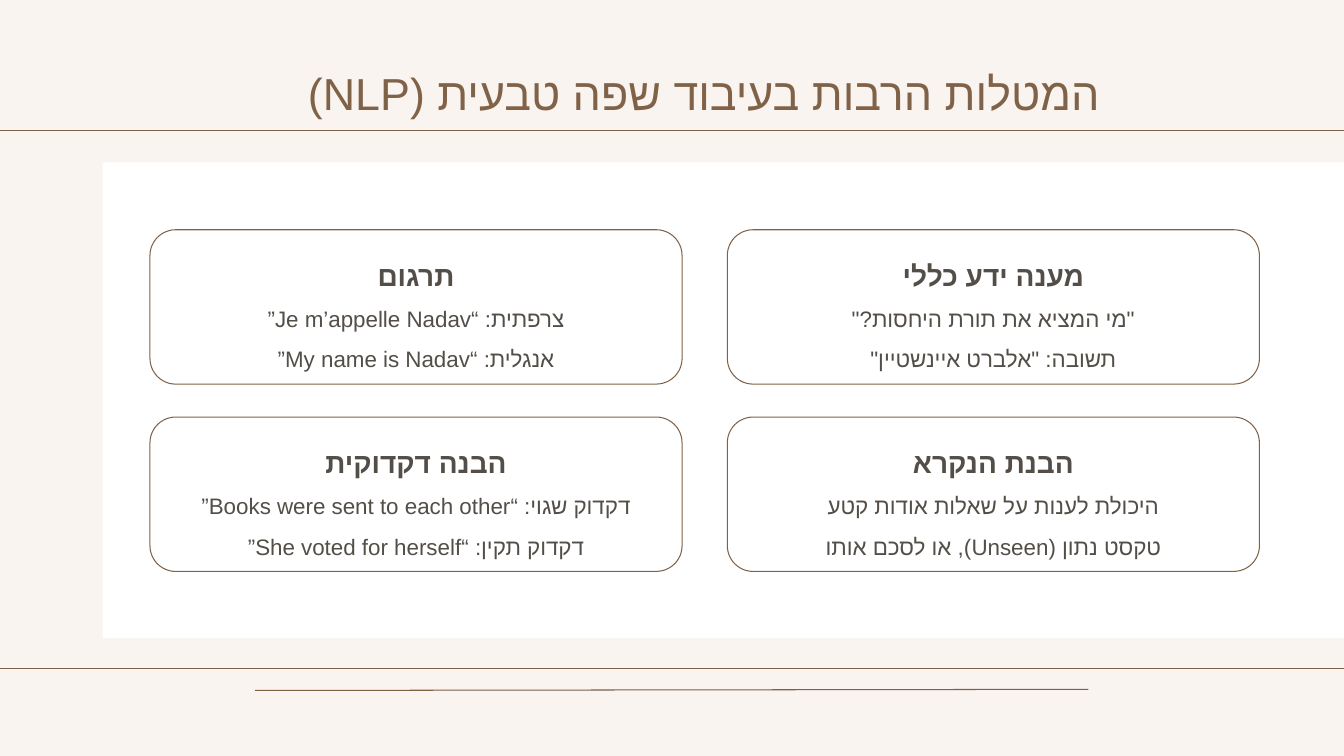
from lxml import etree
from pptx import Presentation
from pptx.dml.color import RGBColor
from pptx.enum import shapes, text
from pptx.oxml.ns import qn
from pptx.util import Cm, Pt

# Content: each row of cards from left to right
TITLE = "המטלות הרבות בעיבוד שפה טבעית (NLP)"
CARDS = [
    [
        ("תרגום", "צרפתית: “Je m’appelle Nadav”", "אנגלית: “My name is Nadav”"),
        ("מענה ידע כללי", '"מי המציא את תורת היחסות?"', 'תשובה: "אלברט איינשטיין"'),
    ],
    [
        ("הבנה דקדוקית", "דקדוק שגוי: “Books were sent to each other”",
         "דקדוק תקין: “She voted for herself”"),
        ("הבנת הנקרא", "היכולת לענות על שאלות אודות קטע",
         "טקסט נתון (Unseen), או לסכם אותו"),
    ],
]


class Theme:
    font = "Arial"
    background = RGBColor.from_string("F9F4F0")
    panel = RGBColor.from_string("FFFFFF")
    accent = RGBColor.from_string("806248")
    footer = RGBColor.from_string("7F6045")
    body = RGBColor.from_string("534E47")
    title_size, heading_size, body_size = Pt(32), Pt(20), Pt(16)
    line_width = Pt(0.75)


# Layout in centimetres
WIDTH, HEIGHT = 33.87, 19.05
PANEL_LEFT, PANEL_TOP, PANEL_HEIGHT = 2.59, 4.09, 11.99
RULES = [
    (0, 3.28, WIDTH, 3.28, Theme.accent),
    (0, 16.84, WIDTH, 16.84, Theme.accent),
    (27.43, 17.37, 6.43, 17.4, Theme.footer),
]
CARD_LEFT, CARD_TOP, CARD_WIDTH, CARD_HEIGHT = 3.78, 5.79, 13.41, 3.89
COLUMN_STEP, ROW_STEP = 14.55, 4.72


def add_rule(page, x1, y1, x2, y2, color):
    rule = page.shapes.add_connector(
        shapes.MSO_CONNECTOR.STRAIGHT, Cm(x1), Cm(y1), Cm(x2), Cm(y2))
    rule.line.color.rgb = color
    rule.line.width = Theme.line_width
    etree.SubElement(rule._element.spPr, qn("a:effectLst"))


def style_paragraph(para, size, color, bold=False):
    """Centre a right-to-left paragraph and format its text."""
    para.alignment = text.PP_ALIGN.CENTER
    para._p.get_or_add_pPr().set("rtl", "1")
    for span in para.runs:
        span.font.size, span.font.bold = size, bold
        span.font.color.rgb = color
        span.font.name = Theme.font
        complex_font = etree.SubElement(span._r.get_or_add_rPr(), qn("a:cs"))
        complex_font.set("typeface", Theme.font)


def add_card(page, left, top, lines):
    card = page.shapes.add_shape(
        shapes.MSO_SHAPE.ROUNDED_RECTANGLE,
        Cm(left), Cm(top), Cm(CARD_WIDTH), Cm(CARD_HEIGHT))
    card.shadow.inherit = False
    card.fill.background()
    card.line.color.rgb = Theme.accent
    card.line.width = Theme.line_width
    frame = card.text_frame
    frame.word_wrap = True
    frame.vertical_anchor = text.MSO_ANCHOR.MIDDLE
    frame.text = "\n".join(lines)
    for index, para in enumerate(frame.paragraphs):
        size = Theme.body_size if index else Theme.heading_size
        style_paragraph(para, size, Theme.body, bold=index == 0)
        para.line_spacing = 1.5


def main():
    deck = Presentation()
    deck.slide_width, deck.slide_height = Cm(WIDTH), Cm(HEIGHT)
    page = deck.slides.add_slide(deck.slide_layouts[6])
    page.background.fill.solid()
    page.background.fill.fore_color.rgb = Theme.background

    # White panel and rules
    panel = page.shapes.add_shape(
        shapes.MSO_SHAPE.RECTANGLE, Cm(PANEL_LEFT), Cm(PANEL_TOP),
        Cm(WIDTH - PANEL_LEFT), Cm(PANEL_HEIGHT))
    panel.shadow.inherit = False
    panel.fill.solid()
    panel.fill.fore_color.rgb = Theme.panel
    panel.line.fill.background()
    for rule in RULES:
        add_rule(page, *rule)

    # Title
    title = page.shapes.add_textbox(Cm(6.43), Cm(0.97), Cm(22.63), Cm(2.29))
    frame = title.text_frame
    frame.word_wrap = True
    frame.vertical_anchor = text.MSO_ANCHOR.BOTTOM
    frame.margin_top = frame.margin_bottom = Cm(0.25)
    frame.text = TITLE
    style_paragraph(frame.paragraphs[0], Theme.title_size, Theme.accent)

    # Grid of task cards
    for row, cards in enumerate(CARDS):
        for column, lines in enumerate(cards):
            add_card(page, CARD_LEFT + column * COLUMN_STEP,
                     CARD_TOP + row * ROW_STEP, lines)

    deck.save("out.pptx")


if __name__ == "__main__":
    main()
